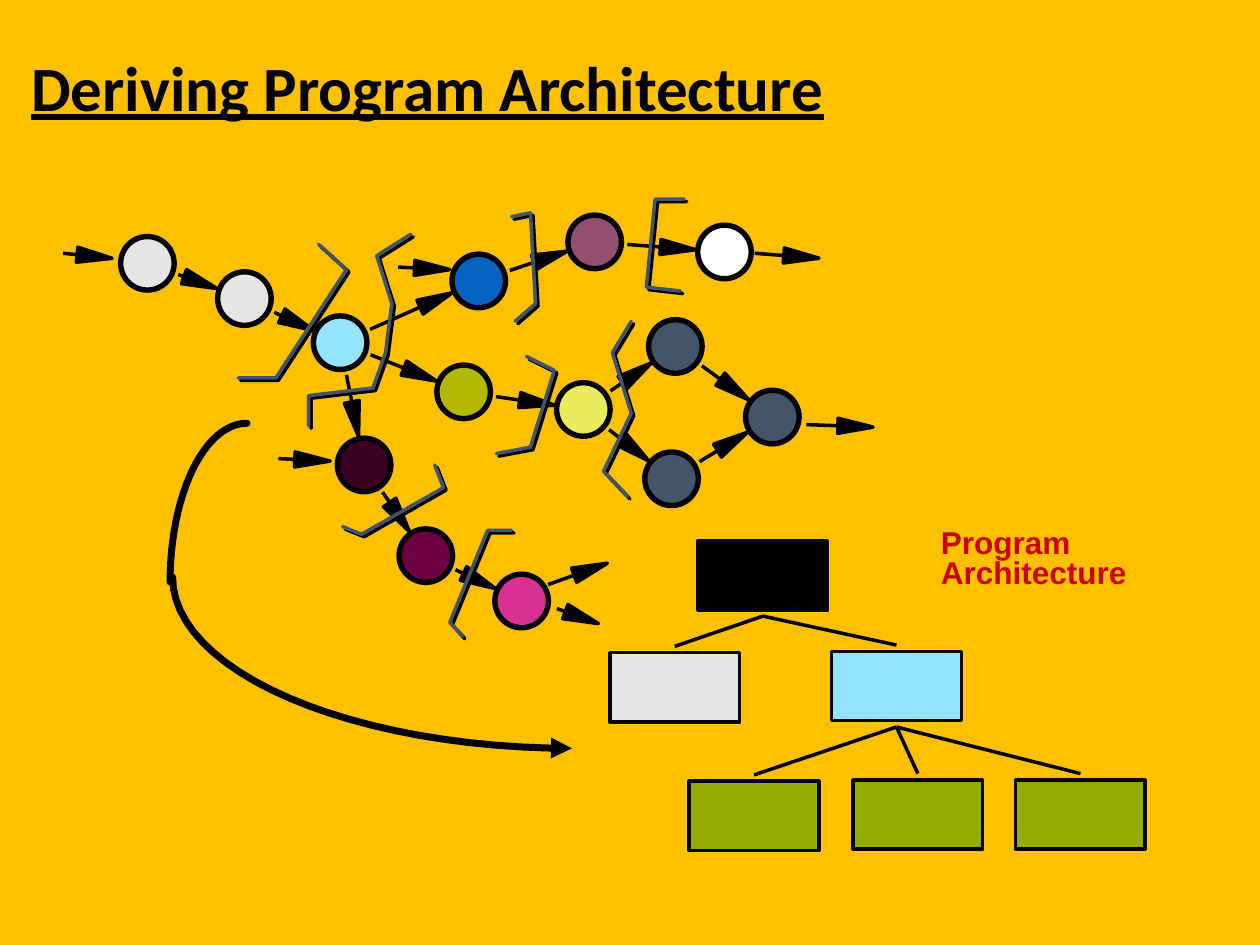
from math import cos, dist, pi, sin

from lxml import etree
from pptx import Presentation
from pptx.dml.color import RGBColor
from pptx.enum.shapes import MSO_CONNECTOR, MSO_SHAPE
from pptx.enum.text import MSO_ANCHOR
from pptx.oxml.ns import qn
from pptx.util import Inches, Pt

OVAL, RECT = MSO_SHAPE.OVAL, MSO_SHAPE.RECTANGLE
STRAIGHT = MSO_CONNECTOR.STRAIGHT
MIDDLE, TOP = MSO_ANCHOR.MIDDLE, MSO_ANCHOR.TOP
BLACK, SLATE, GRAY, SKY, OLIVE = "000000", "44546A", "E7E6E6", "96E3FE", "96AB00"

TITLE = ["Deriving Program Architecture"]
LABEL = ["Program", "Architecture"]

BUBBLES = {
    "second": (1.94, 2.37, GRAY), "first": (1.17, 2.09, GRAY),
    "blue": (3.8, 2.23, "0563C1"), "purple": (4.72, 1.92, "954F72"),
    "white": (5.75, 2.0, "FFFFFF"), "olive": (3.68, 3.11, "B3B900"),
    "yellow": (4.63, 3.25, "EAEC5E"), "upper": (5.36, 2.75, SLATE),
    "lower": (5.33, 3.8, SLATE), "join": (6.13, 3.31, SLATE),
    "dark": (2.89, 3.69, "3C0023"), "wine": (3.38, 4.41, "6E0043"),
    "pink": (4.14, 4.77, "D93192"), "center": (2.7, 2.72, SKY),
}
CHAINS = [
    "first second center blue purple white", "center olive yellow upper join",
    "yellow lower join", "center dark wine pink",
]
OPEN_FLOWS = [
    [(0.5, 2.01), (0.89, 2.05)], [(2.21, 3.64), (2.62, 3.66)],
    [(3.16, 2.12), (3.57, 2.14)], [(5.99, 2.01), (6.5, 2.05)],
    [(6.4, 3.37), (6.93, 3.39)], [(4.42, 4.83), (4.75, 4.95)],
    [(4.35, 4.64), (4.82, 4.47)],
]
BOUNDARIES = [
    [(2.53, 1.94), (2.75, 2.14), (2.19, 3), (1.89, 3)],
    [(3.26, 1.86), (2.99, 2.03), (3.11, 2.41), (3.06, 2.8), (2.96, 3.08),
     (2.45, 3.14), (2.45, 3.38)],
    [(4.06, 1.72), (4.21, 1.69), (4.25, 2.41), (4.09, 2.55)],
    [(5.43, 1.58), (5.2, 1.58), (5.13, 2.28), (5.4, 2.31)],
    [(4.18, 2.83), (4.4, 2.94), (4.21, 3.55), (3.94, 3.6)],
    [(5.01, 2.55), (4.86, 2.8), (5.01, 3.28), (4.79, 3.74), (4.98, 3.94)],
    [(3.45, 3.69), (3.52, 3.87), (2.87, 4.24), (2.72, 4.18)],
    [(4.06, 4.21), (3.87, 4.21), (3.57, 4.94), (3.67, 5.05)],
]
MODULES = [
    (5.54, 4.29, BLACK), (4.84, 5.18, GRAY), (6.6, 5.17, SKY),
    (5.47, 6.2, OLIVE), (6.77, 6.19, OLIVE), (8.06, 6.19, OLIVE),
]
CHILDREN = {0: [1, 2], 2: [3, 4, 5]}
MODULE_W, MODULE_H, BRANCH_GAP = 1.03, 0.55, 0.05
HEAD_LENGTH, HEAD_HALF = 0.28, 0.06
LEAVE_GAP, ARRIVE_GAP = 0.26, 0.23


def rgb(value):
    return RGBColor.from_string(value)


def style(sp, fill=None, line=BLACK, width=2):
    sp.shadow.inherit = False
    if fill:
        sp.fill.solid()
        sp.fill.fore_color.rgb = rgb(fill)
    else:
        sp.fill.background()
    sp.line.color.rgb = rgb(line)
    sp.line.width = Pt(width)
    return sp


def add_box(kind, x, y, w, h, fill=None):
    style(s.shapes.add_shape(kind, Inches(x), Inches(y), Inches(w), Inches(h)), fill)


def add_bubble(x, y, fill):
    for size, color in ((0.41, fill), (0.44, None)):
        add_box(OVAL, x - size / 2, y - size / 2, size, size, color)


def add_line(start, end):
    c = s.shapes.add_connector(STRAIGHT, *(Inches(v) for v in start + end))
    c.line.color.rgb = rgb(BLACK)
    c.line.width = Pt(2)
    etree.SubElement(c._element.spPr, qn("a:effectLst"))


def add_path(points, close=False):
    pts = [(Inches(x), Inches(y)) for x, y in points]
    fb = s.shapes.build_freeform(*pts[0])
    fb.add_line_segments(pts[1:], close=close)
    return fb.convert_to_shape()


def add_stroke(points, line=BLACK, width=2):
    sp = style(add_path(points), None, line, width)
    sp.line._get_or_add_ln().set("cap", "rnd")
    return sp


def direction(a, b):
    length = dist(a, b)
    return (b[0] - a[0]) / length, (b[1] - a[1]) / length


def add_flow(start, tip):
    dx, dy = direction(start, tip)
    bx, by = tip[0] - HEAD_LENGTH * dx, tip[1] - HEAD_LENGTH * dy
    wx, wy = -HEAD_HALF * dy, HEAD_HALF * dx
    style(add_path([tip, (bx + wx, by + wy), (bx - wx, by - wy)], close=True), BLACK)
    add_line(start, (bx, by))


def add_link(source, target):
    a, b = BUBBLES[source][:2], BUBBLES[target][:2]
    dx, dy = direction(a, b)
    add_flow((a[0] + LEAVE_GAP * dx, a[1] + LEAVE_GAP * dy),
             (b[0] - ARRIVE_GAP * dx, b[1] - ARRIVE_GAP * dy))


def quarter(cx, cy, rx, ry, start, steps=24):
    angles = [start + pi / 2 * i / steps for i in range(steps + 1)]
    return [(cx + rx * cos(a), cy + ry * sin(a)) for a in angles]


def add_text(lines, x, y, w, h, font, size, color, spacing, anchor, wrap, underline=None):
    tf = s.shapes.add_textbox(Inches(x), Inches(y), Inches(w), Inches(h)).text_frame
    tf.word_wrap = wrap
    tf.vertical_anchor = anchor
    tf.text = "\n".join(lines)
    for p in tf.paragraphs:
        p.line_spacing = spacing
        for r in p.runs:
            r.font.name, r.font.size = font, Pt(size)
            r.font.bold, r.font.underline = True, underline
            r.font.color.rgb = rgb(color)


prs = Presentation()
prs.slide_width, prs.slide_height = Inches(10), Inches(7.5)
s = prs.slides.add_slide(prs.slide_layouts[6])
s.background.fill.solid()
s.background.fill.fore_color.rgb = rgb("FFC000")

add_text(TITLE, 0.15, 0.22, 8.77, 1, "Calibri", 36, BLACK, 0.9, MIDDLE, True, True)
for name, bubble in BUBBLES.items():
    if name != "center":
        add_bubble(*bubble)
for chain in CHAINS:
    names = chain.split()
    for source, target in zip(names, names[1:]):
        add_link(source, target)
for flow in OPEN_FLOWS:
    add_flow(*flow)
add_bubble(*BUBBLES["center"])

for points in BOUNDARIES:
    add_stroke([(x + 0.02, y + 0.02) for x, y in points])
    add_stroke(points, SLATE)

for x, y, fill in MODULES:
    add_box(RECT, x, y, MODULE_W, MODULE_H, fill)
for parent, children in CHILDREN.items():
    px, py, _ = MODULES[parent]
    for child in children:
        cx, cy, _ = MODULES[child]
        add_line((px + MODULE_W / 2, py + MODULE_H + BRANCH_GAP),
                 (cx + MODULE_W / 2, cy - BRANCH_GAP))
add_text(LABEL, 7.37, 4.16, 1.67, 0.58, "Arial", 18, "CC0000", 0.8, TOP, False)

add_stroke(quarter(1.96, 4.62, 0.61, 1.26, pi), width=4)
sweep = add_stroke(quarter(4.54, 4.58, 3.17, 1.36, pi / 2), width=4)
etree.SubElement(sweep.line._get_or_add_ln(), qn("a:headEnd")).set("type", "triangle")

prs.save("out.pptx")
